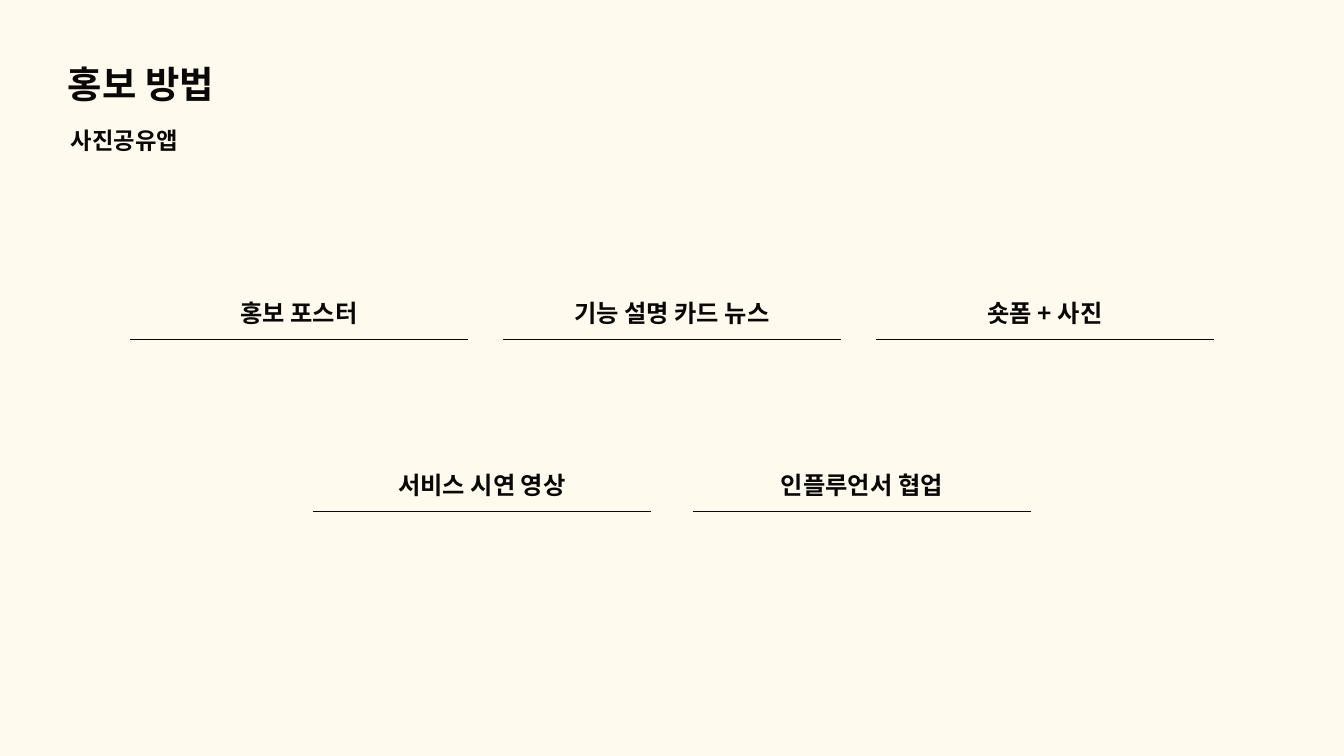
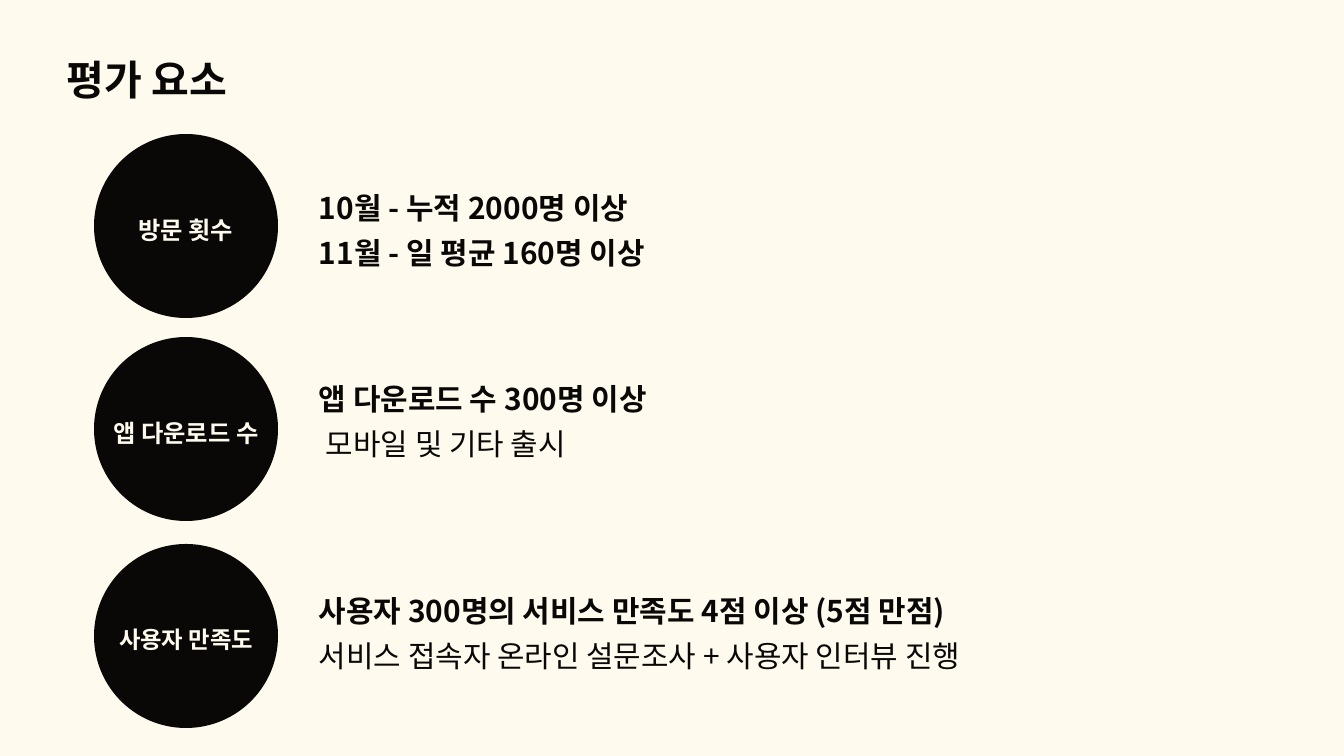
from lxml.etree import SubElement
from pptx import Presentation
from pptx.dml.color import RGBColor
from pptx.enum.shapes import MSO_CONNECTOR as CONN, MSO_SHAPE as SHAPE
from pptx.enum.text import MSO_AUTO_SIZE as FIT, PP_ALIGN as AL
from pptx.oxml.ns import qn
from pptx.util import Emu, Pt

CREAM = RGBColor(0xFE, 0xFB, 0xEE)
INK = RGBColor(0x09, 0x08, 0x07)
FONT = "Noto Sans CJK SC"
SLIDE_W, SLIDE_H = 1344, 756
LABEL_SIZE, LABEL_LEADING = 26, 39


def px(n):
    return Emu(round(n * 914400 / 67.2))


def add_text(slide, box, lines, size, leading, color=INK, align=AL.LEFT):
    """Each line is (text, bold, left indent in px)."""
    tb = slide.shapes.add_textbox(*map(px, box))
    tf = tb.text_frame
    tf.margin_left = tf.margin_right = tf.margin_top = tf.margin_bottom = 0
    tf.word_wrap = True
    tf.auto_size = FIT.SHAPE_TO_FIT_TEXT
    for i, (text, bold, indent) in enumerate(lines):
        p = tf.paragraphs[0] if i == 0 else tf.add_paragraph()
        p.text = text
        p.alignment = align
        p.line_spacing = Pt(leading)
        p.font.size = Pt(size)
        p.font.bold = bold
        p.font.name = FONT
        p.font.color.rgb = color
        pPr = p._p.get_or_add_pPr()
        SubElement(pPr.find(qn("a:defRPr")), qn("a:ea"), typeface=FONT)
        if indent:
            pPr.set("marL", str(px(indent)))


def add_line(slide, x, y, w):
    line = slide.shapes.add_connector(CONN.STRAIGHT, px(x), px(y), px(x + w), px(y))
    line.line.color.rgb = INK
    line.line.width = Pt(0.75)
    SubElement(line._element.spPr, qn("a:effectLst"))


def new_slide(prs, title, box, size, leading):
    slide = prs.slides.add_slide(prs.slide_layouts[6])
    slide.background.fill.solid()
    slide.background.fill.fore_color.rgb = CREAM
    add_text(slide, box, [(title, True, 0)], size, leading)
    return slide


def label_row(slide, y, gap, labels):
    """Underlined labels, centred as a row on the slide."""
    line_w = 338
    row_w = len(labels) * line_w + (len(labels) - 1) * gap
    left = (SLIDE_W - row_w) / 2
    for i, (label, text_w) in enumerate(labels):
        x = left + i * (line_w + gap)
        add_line(slide, x, y + 48, line_w)
        add_text(slide, (x + (line_w - text_w) / 2, y, text_w, 34),
                 [(label, True, 0)], LABEL_SIZE, LABEL_LEADING, align=AL.CENTER)


def promotion_slide(prs):
    slide = new_slide(prs, "홍보 방법", (68, 54, 159, 50), 40, 56)
    add_text(slide, (71, 122, 108, 31), [("사진공유앱", True, 0)], 25, 35)
    label_row(slide, 291, 35, [("홍보 포스터", 230), ("기능 설명 카드 뉴스", 279),
                               ("숏폼 + 사진", 253)])
    label_row(slide, 463, 42, [("서비스 시연 영상", 253), ("인플루언서 협업", 253)])


def criterion(slide, x, y, label, label_w, label_size, lines, text_dy, text_w, align):
    """A disc with its label, and the target written to its right."""
    d = 184
    disc = slide.shapes.add_shape(SHAPE.OVAL, px(x), px(y), px(d), px(d))
    disc.shadow.inherit = False
    disc.fill.solid()
    disc.fill.fore_color.rgb = INK
    disc.line.fill.background()
    add_text(slide, (x + (d - label_w) / 2, y + 76, label_w, 32),
             [(label, True, 0)], label_size, label_size * 1.4, CREAM, AL.CENTER)
    add_text(slide, (x + 225, y + text_dy, text_w, 85), lines, 32, 48, align=align)


def criteria_slide(prs):
    slide = new_slide(prs, "평가 요소", (67, 46, 207, 55), 44, 61.6)
    criterion(slide, 94, 134, "방문 횟수", 100, 26,
              [("10월 - 누적 2000명 이상", True, 0),
               ("11월 - 일 평균 160명 이상", True, 0)], 47, 353, AL.JUSTIFY)
    criterion(slide, 94, 337, "앱 다운로드 수", 177, 26,
              [("앱 다운로드 수 300명 이상", True, 0),
               ("모바일 및 기타 출시", False, 7)], 35, 767, AL.LEFT)
    criterion(slide, 94, 544, "사용자 만족도", 135, 25,
              [("사용자 300명의 서비스 만족도 4점 이상 (5점 만점)", True, 0),
               ("서비스 접속자 온라인 설문조사 + 사용자 인터뷰 진행", False, 0)],
              40, 767, AL.LEFT)


def main():
    prs = Presentation()
    prs.slide_width, prs.slide_height = px(SLIDE_W), px(SLIDE_H)
    promotion_slide(prs)
    criteria_slide(prs)
    prs.save("out.pptx")


if __name__ == "__main__":
    main()
